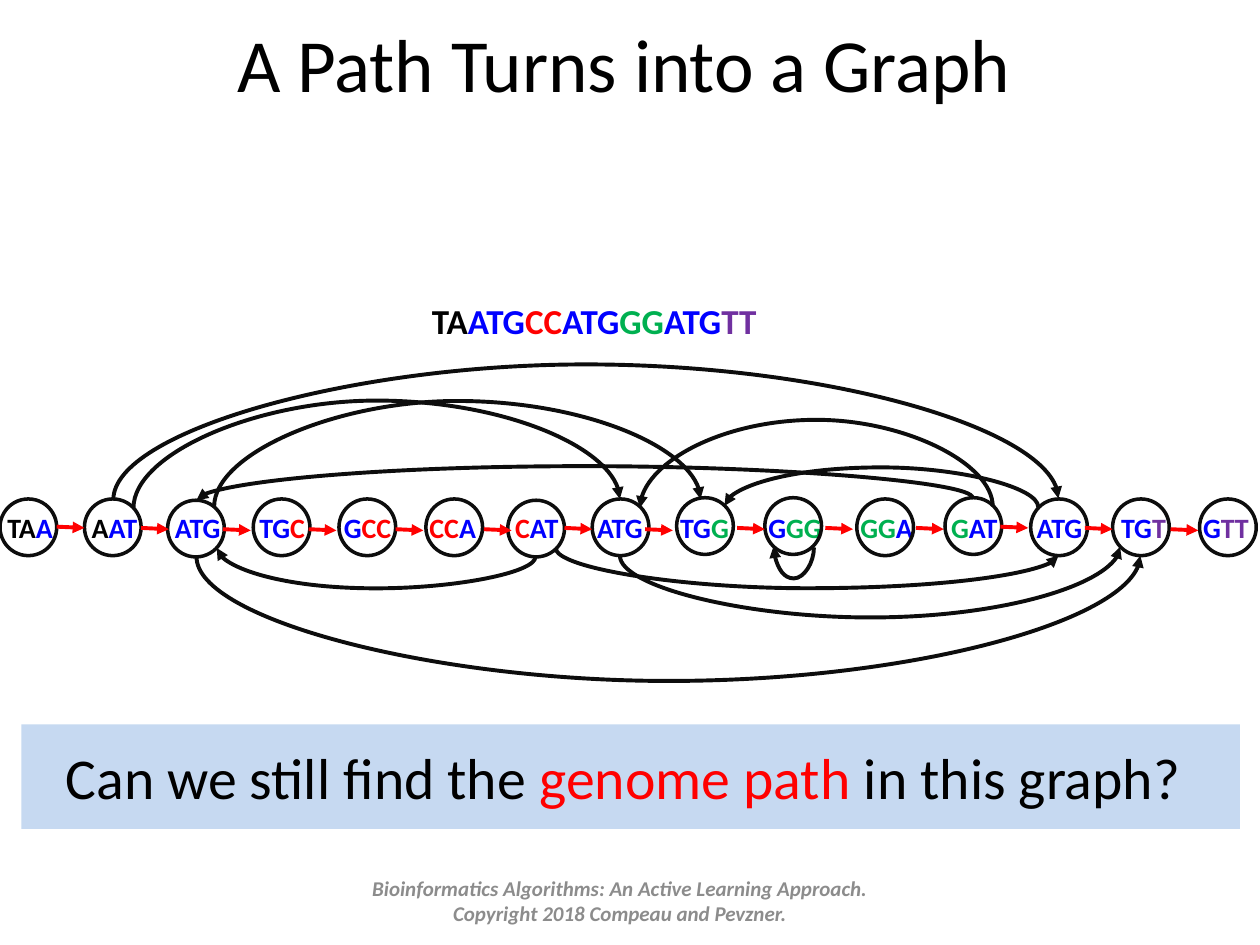
from dataclasses import dataclass
from itertools import groupby

from lxml.etree import SubElement
from pptx import Presentation
from pptx.dml.color import RGBColor
from pptx.enum.shapes import MSO_CONNECTOR, MSO_SHAPE
from pptx.enum.text import MSO_ANCHOR, MSO_AUTO_SIZE, PP_ALIGN
from pptx.oxml.ns import qn
from pptx.util import Emu, Pt

PX_PER_INCH = 100


def px(length):
    return Emu(round(length * 914400 / PX_PER_INCH))


@dataclass(frozen=True)
class Theme:
    font: str = "Calibri"
    black: str = "000000"
    blue: str = "0000FF"
    red: str = "FF0000"
    green: str = "00B050"
    purple: str = "7030A0"
    ink: str = "0D0D0D"
    band: str = "C6D9F1"
    muted: str = "8C8C8C"
    title_size: float = 42.9
    question_size: int = 33
    genome_size: int = 20
    kmer_size: int = 16
    credit_size: int = 12
    circle_line: float = 2
    edge_line: float = 2.25


class SlideBuilder:
    def __init__(self, slide, theme):
        self.slide = slide
        self.theme = theme

    def style_run(self, run, size, color, bold=False, italic=False):
        run.font.name = self.theme.font
        run.font.size = Pt(size)
        run.font.bold = bold
        run.font.italic = italic
        run.font.color.rgb = RGBColor.from_string(color)

    def fill_runs(self, paragraph, parts, size, bold=False):
        for words, color in parts:
            run = paragraph.add_run()
            run.text = words
            self.style_run(run, size, color, bold)

    def title(self, words, left, top, width, height):
        heading = self.slide.shapes.title
        heading.left, heading.top = px(left), px(top)
        heading.width, heading.height = px(width), px(height)
        frame = heading.text_frame
        frame.text = words
        frame.auto_size = MSO_AUTO_SIZE.NONE
        frame.vertical_anchor = MSO_ANCHOR.MIDDLE
        paragraph = frame.paragraphs[0]
        paragraph.alignment = PP_ALIGN.CENTER
        self.style_run(paragraph.runs[0], self.theme.title_size, self.theme.black)

    def sequence(self, letters, size, left, top, width, height, wrap=False):
        box = self.slide.shapes.add_textbox(px(left), px(top), px(width), px(height))
        box.text_frame.word_wrap = wrap
        parts = [
            ("".join(letter for letter, _ in group), color)
            for color, group in groupby(letters, key=lambda pair: pair[1])
        ]
        self.fill_runs(box.text_frame.paragraphs[0], parts, size, bold=True)

    def circle(self, left, top, diameter):
        node = self.slide.shapes.add_shape(
            MSO_SHAPE.OVAL, px(left), px(top), px(diameter), px(diameter)
        )
        node.shadow.inherit = False
        node.fill.background()
        node.line.color.rgb = RGBColor.from_string(self.theme.ink)
        node.line.width = Pt(self.theme.circle_line)

    def arrow(self, kind, color, start, end):
        edge = self.slide.shapes.add_connector(kind, *map(px, (*start, *end)))
        edge.line.color.rgb = RGBColor.from_string(color)
        edge.line.width = Pt(self.theme.edge_line)
        properties = edge.element.spPr
        SubElement(properties.find(qn("a:ln")), qn("a:tailEnd"), type="triangle")
        SubElement(properties, qn("a:effectLst"))
        return properties

    def arc(self, start, end, peak):
        (x1, y1), (x2, y2) = start, end
        rise = (y1 - y2) or 1
        run = x2 - x1
        center_x, center_y = (x1 + x2) / 2, (y1 + y2) / 2
        properties = self.arrow(
            MSO_CONNECTOR.CURVE,
            self.theme.ink,
            (center_x - rise / 2, center_y - run / 2),
            (center_x + rise / 2, center_y + run / 2),
        )
        properties.find(qn("a:xfrm")).set("rot", str(270 * 60000))
        bend = round((y1 - peak) / rise * 100000)
        guides = properties.find(qn("a:prstGeom")).find(qn("a:avLst"))
        SubElement(guides, qn("a:gd"), name="adj1", fmla=f"val {bend}")

    def banner(self, parts, left, top, width, height):
        band = self.slide.shapes.add_shape(
            MSO_SHAPE.RECTANGLE, px(left), px(top), px(width), px(height)
        )
        band.shadow.inherit = False
        band.fill.solid()
        band.fill.fore_color.rgb = RGBColor.from_string(self.theme.band)
        band.line.fill.background()
        frame = band.text_frame
        frame.word_wrap = True
        frame.margin_right = px(22)
        frame.vertical_anchor = MSO_ANCHOR.MIDDLE
        frame.paragraphs[0].alignment = PP_ALIGN.CENTER
        self.fill_runs(frame.paragraphs[0], parts, self.theme.question_size)

    def credit(self, lines, left, top, width, height):
        box = self.slide.shapes.add_textbox(px(left), px(top), px(width), px(height))
        frame = box.text_frame
        frame.word_wrap = True
        frame.vertical_anchor = MSO_ANCHOR.MIDDLE
        frame.text = "\n".join(lines)
        for paragraph in frame.paragraphs:
            paragraph.alignment = PP_ALIGN.CENTER
            self.style_run(
                paragraph.runs[0], self.theme.credit_size, self.theme.muted, True, True
            )


GENOME = "TAATGCCATGGGATGTT"
GENOME_COLORS = "KKBBBRRBBBGGBBBPP"
KMER_LENGTH = 3
DIAMETER = 45

NODES = [
    (0, 396, -4, 57), (67, 396, 63, 57), (133, 397, 129, 57),
    (201, 396, 196, 57), (269, 396, 263, 58), (338, 396, 331, 58),
    (403, 397, 399, 55), (470, 396, 464, 57), (537, 395, 530, 59),
    (607, 395, 600, 63), (680, 396, 673, 63), (750, 395, 745, 58),
    (818, 396, 813, 57), (883, 396, 880, 56), (952, 396, 945, 57),
]

STEPS = [
    (45, 418), (112, 419), (177, 420), (245, 420), (314, 420), (384, 420),
    (448, 419), (512, 420), (585, 419), (655, 419), (727, 419), (794, 418),
    (861, 419), (929, 420),
]

OVERLAPS = [
    ((106, 403), (492, 396), 318),
    ((90, 396), (840, 396), 287),
    ((170, 402), (556, 396), 318),
    ((156, 442), (905, 441), 542),
    ((441, 435), (840, 441), 467),
    ((492, 441), (889, 434), 490),
    ((772, 395), (156, 397), 370),
    ((425, 442), (172, 435), 467),
    ((788, 402), (508, 403), 332),
    ((824, 402), (575, 402), 370),
    ((646, 434), (614, 434), 459),
]


def main():
    theme = Theme()
    deck = Presentation()
    deck.slide_width, deck.slide_height = px(1000), px(750)
    builder = SlideBuilder(deck.slides.add_slide(deck.slide_layouts[5]), theme)

    builder.title("A Path Turns into a Graph", 45, 8, 900, 83)

    palette = {
        "K": theme.black, "B": theme.blue, "R": theme.red,
        "G": theme.green, "P": theme.purple,
    }
    letters = [(base, palette[key]) for base, key in zip(GENOME, GENOME_COLORS)]
    builder.sequence(letters, theme.genome_size, 333, 233, 660, 44, wrap=True)

    for index, (left, top, label_left, label_width) in enumerate(NODES):
        kmer = letters[index:index + KMER_LENGTH]
        builder.sequence(kmer, theme.kmer_size, label_left, 400, label_width, 37)
        builder.circle(left, top, DIAMETER)

    for x, y in STEPS:
        builder.arrow(MSO_CONNECTOR.STRAIGHT, theme.red, (x, y), (x + 22, y + 1))
    for start, end, peak in OVERLAPS:
        builder.arc(start, end, peak)

    question = [
        ("Can we still find the ", theme.black),
        ("genome path ", theme.red),
        ("in this graph?", theme.black),
    ]
    builder.banner(question, 17, 575, 967, 83)
    builder.credit(
        [
            "Bioinformatics Algorithms: An Active Learning Approach.",
            "Copyright 2018 Compeau and Pevzner.",
        ],
        217, 695, 550, 40,
    )
    deck.save("out.pptx")


if __name__ == "__main__":
    main()
